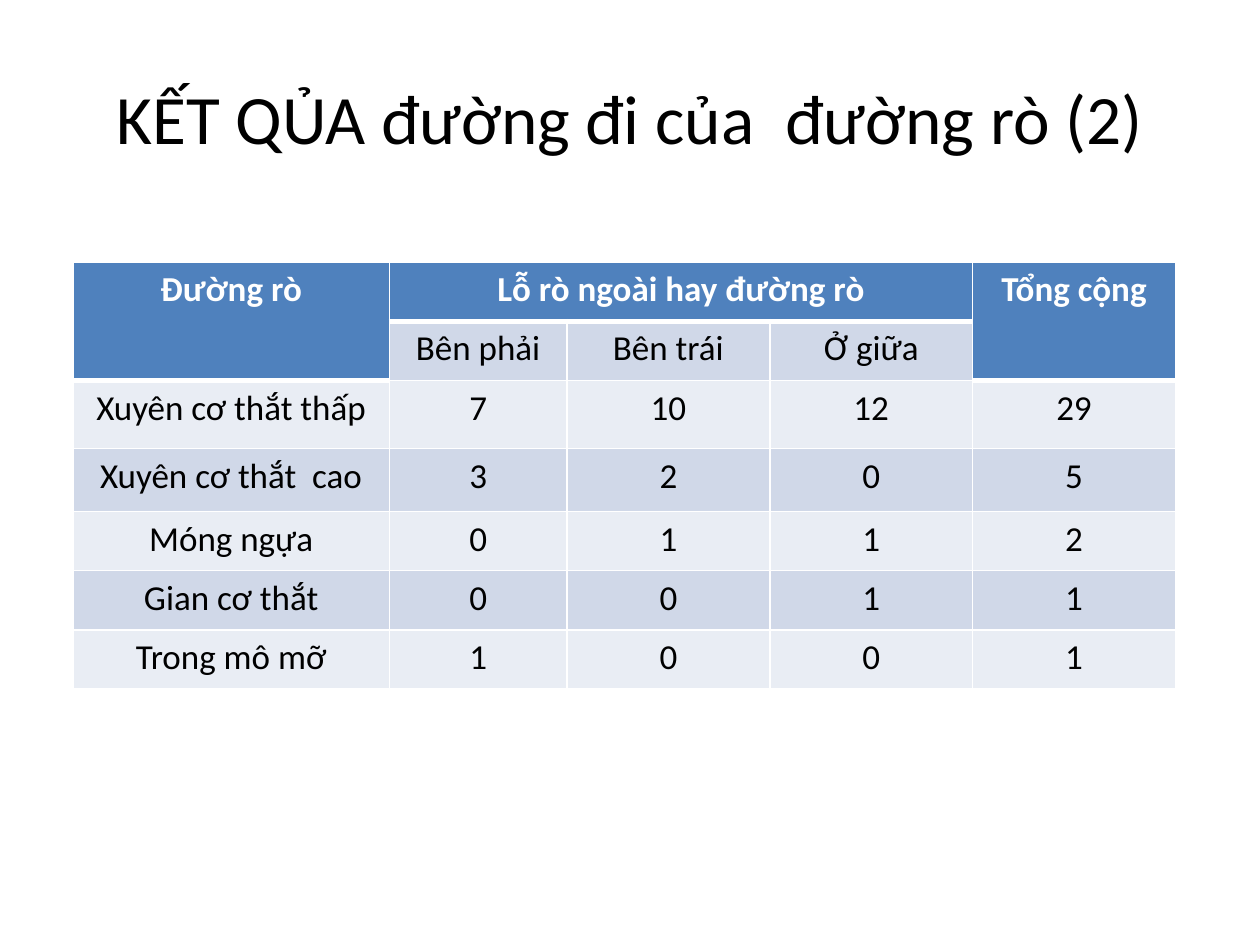
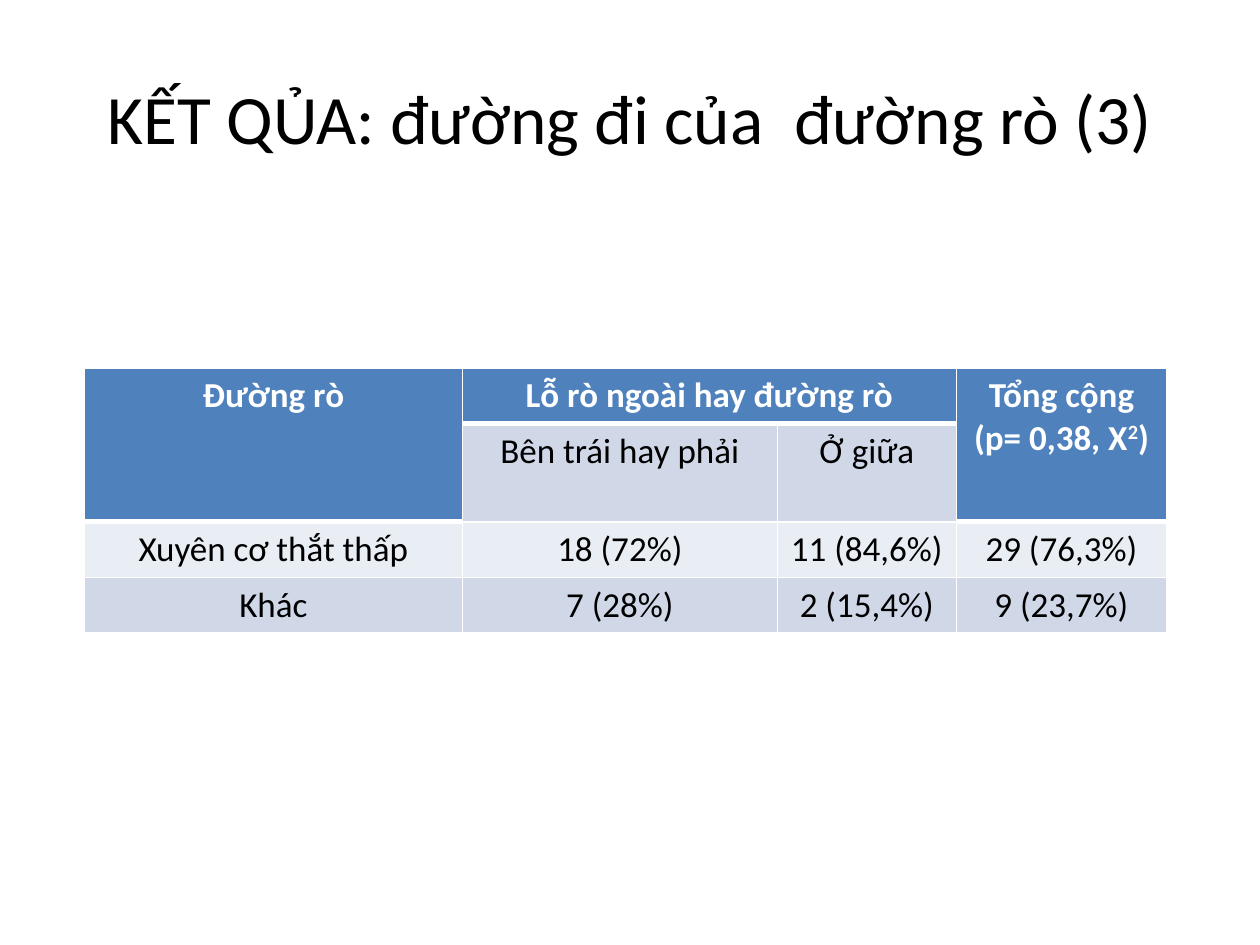
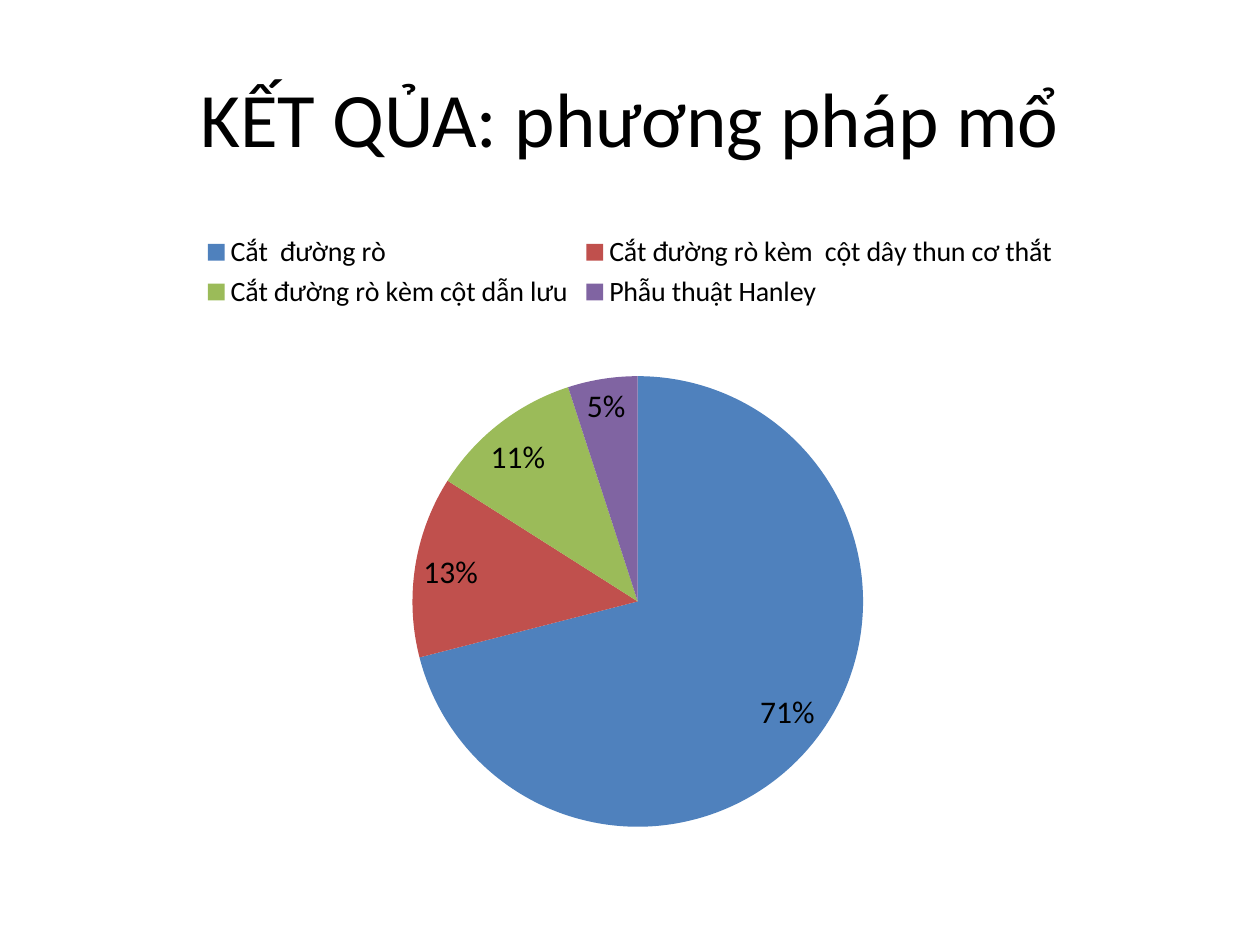
from lxml import etree
from pptx import Presentation
from pptx.chart.data import CategoryChartData
from pptx.dml.color import RGBColor
from pptx.enum.chart import XL_CHART_TYPE as ChartType
from pptx.enum.chart import XL_LABEL_POSITION as LabelPos
from pptx.enum.chart import XL_LEGEND_POSITION as LegendPos
from pptx.enum.text import MSO_ANCHOR as Anchor
from pptx.enum.text import PP_ALIGN as Align
from pptx.oxml.ns import qn
from pptx.util import Inches, Pt

BLACK = RGBColor(0x00, 0x00, 0x00)
WHITE = RGBColor(0xFF, 0xFF, 0xFF)
BLUE = RGBColor(0x4F, 0x81, 0xBD)
RED = RGBColor(0xC0, 0x50, 0x4D)
GREEN = RGBColor(0x9B, 0xBB, 0x59)
PURPLE = RGBColor(0x80, 0x64, 0xA2)
BAND_DARK = RGBColor(0xD0, 0xD8, 0xE8)
BAND_LIGHT = RGBColor(0xE9, 0xED, 0xF4)


class Deck:
    font = "Calibri"
    cell_size = 20
    thin, thick = 1, 3

    def __init__(self):
        self.prs = Presentation()
        self.prs.slide_width = Inches(10)
        self.prs.slide_height = Inches(7.5)
        self.s = None

    def style(self, font, size, color=BLACK, bold=False):
        font.name = self.font
        font.size = Pt(size)
        font.bold = bold
        font.color.rgb = color

    def slide(self, title, size):
        self.s = self.prs.slides.add_slide(self.prs.slide_layouts[5])
        sp = self.s.shapes.title
        sp.left, sp.top = Inches(0.5), Inches(0.3)
        sp.width, sp.height = Inches(9), Inches(1.25)
        tf = sp.text_frame
        tf.text = title
        tf.vertical_anchor = Anchor.MIDDLE
        p = tf.paragraphs[0]
        p.alignment = Align.CENTER
        self.style(p.runs[0].font, size)

    def border(self, cell, side, width):
        ln = etree.SubElement(cell._tc.get_or_add_tcPr(), qn(f"a:ln{side}"), w=str(Pt(width)))
        fill = etree.SubElement(ln, qn("a:solidFill"))
        etree.SubElement(fill, qn("a:srgbClr"), val=str(WHITE))

    def cell_text(self, cell, text, color, bold):
        tf = cell.text_frame
        for i, line in enumerate(text.split("\n")):
            p = tf.add_paragraph() if i else tf.paragraphs[0]
            p.alignment = Align.CENTER
            for j, part in enumerate(line.split("^")):
                r = p.add_run()
                r.text = part
                self.style(r.font, self.cell_size, color, bold)
                if j % 2:
                    r.font._element.set("baseline", "30000")

    def table(self, left, top, widths, heights, rows):
        frame = self.s.shapes.add_table(
            len(rows), len(widths), Inches(left), Inches(top),
            Inches(sum(widths)), Inches(sum(heights)))
        tbl = frame.table
        for col, width in zip(tbl.columns, widths):
            col.width = Inches(width)
        for row, height in zip(tbl.rows, heights):
            row.height = Inches(height)
        last = len(widths) - 1
        for c in (0, last):
            tbl.cell(0, c).merge(tbl.cell(1, c))
        tbl.cell(0, 1).merge(tbl.cell(0, last - 1))

        def is_header(i, c):
            return i == 0 or (i == 1 and c in (0, last))

        for i, row in enumerate(rows):
            for c, text in enumerate(row):
                cell = tbl.cell(i, c)
                header = is_header(i, c)
                below_header = i > 0 and is_header(i - 1, c)
                for side, width in (
                        ("L", self.thin), ("R", self.thin),
                        ("T", self.thick if below_header else self.thin),
                        ("B", self.thick if header else self.thin)):
                    self.border(cell, side, width)
                cell.fill.solid()
                band = BAND_DARK if i % 2 else BAND_LIGHT
                cell.fill.fore_color.rgb = BLUE if header else band
                if text:
                    self.cell_text(cell, text, WHITE if header else BLACK, header)

    def pie(self, left, top, width, height, slices):
        data = CategoryChartData()
        data.categories = [name for name, _, _ in slices]
        data.add_series("Series 1", [value for _, value, _ in slices])
        chart = self.s.shapes.add_chart(
            ChartType.PIE, Inches(left), Inches(top),
            Inches(width), Inches(height), data).chart
        self.style(chart.font, 10)
        chart.has_title = False
        chart.has_legend = True
        chart.legend.position = LegendPos.TOP
        chart.legend.include_in_layout = False
        self.style(chart.legend.font, 16)
        plot = chart.plots[0]
        plot.vary_by_categories = True
        plot.has_data_labels = True
        labels = plot.data_labels
        labels.show_percentage = True
        labels.show_value = False
        labels.number_format = "0%"
        labels.number_format_is_linked = False
        labels.position = LabelPos.BEST_FIT
        self.style(labels.font, 18)
        for i, (_, _, color) in enumerate(slices):
            fill = plot.series[0].points[i].format.fill
            fill.solid()
            fill.fore_color.rgb = color


def main():
    deck = Deck()

    deck.slide("KẾT QỦA đường đi của  đường rò (2)", 39.6)
    deck.table(0.58, 2.08, [2.51, 1.41] + [1.61] * 3,
               [0.47, 0.47, 0.54, 0.5] + [0.47] * 3, [
        ("Đường rò", "Lỗ rò ngoài hay đường rò", "", "", "Tổng cộng"),
        ("", "Bên phải", "Bên trái", "Ở giữa", ""),
        ("Xuyên cơ thắt thấp", "7", "10", "12", "29"),
        ("Xuyên cơ thắt  cao", "3", "2", "0", "5"),
        ("Móng ngựa", "0", "1", "1", "2"),
        ("Gian cơ thắt", "0", "0", "1", "1"),
        ("Trong mô mỡ", "1", "0", "0", "1"),
    ])

    deck.slide("KẾT QỦA: đường đi của  đường rò (3)", 39.6)
    deck.table(0.67, 2.92, [3, 2.5, 1.42, 1.67], [0.44, 0.78, 0.44, 0.44], [
        ("Đường rò", "Lỗ rò ngoài hay đường rò", "", "Tổng cộng\n(p= 0,38, X^2^)"),
        ("", "Bên trái hay phải", "Ở giữa", ""),
        ("Xuyên cơ thắt thấp", "18 (72%)", "11 (84,6%)", "29 (76,3%)"),
        ("Khác", "7 (28%)", "2 (15,4%)", "9 (23,7%)"),
    ])

    deck.slide("KẾT QỦA: phương pháp mổ", 44)
    deck.pie(0.5, 1.75, 9, 4.95, [
        ("Cắt  đường rò", 71, BLUE),
        ("Cắt đường rò kèm  cột dây thun cơ thắt", 13, RED),
        ("Cắt đường rò kèm cột dẫn lưu", 11, GREEN),
        ("Phẫu thuật Hanley", 5, PURPLE),
    ])

    deck.prs.save("out.pptx")


if __name__ == "__main__":
    main()
